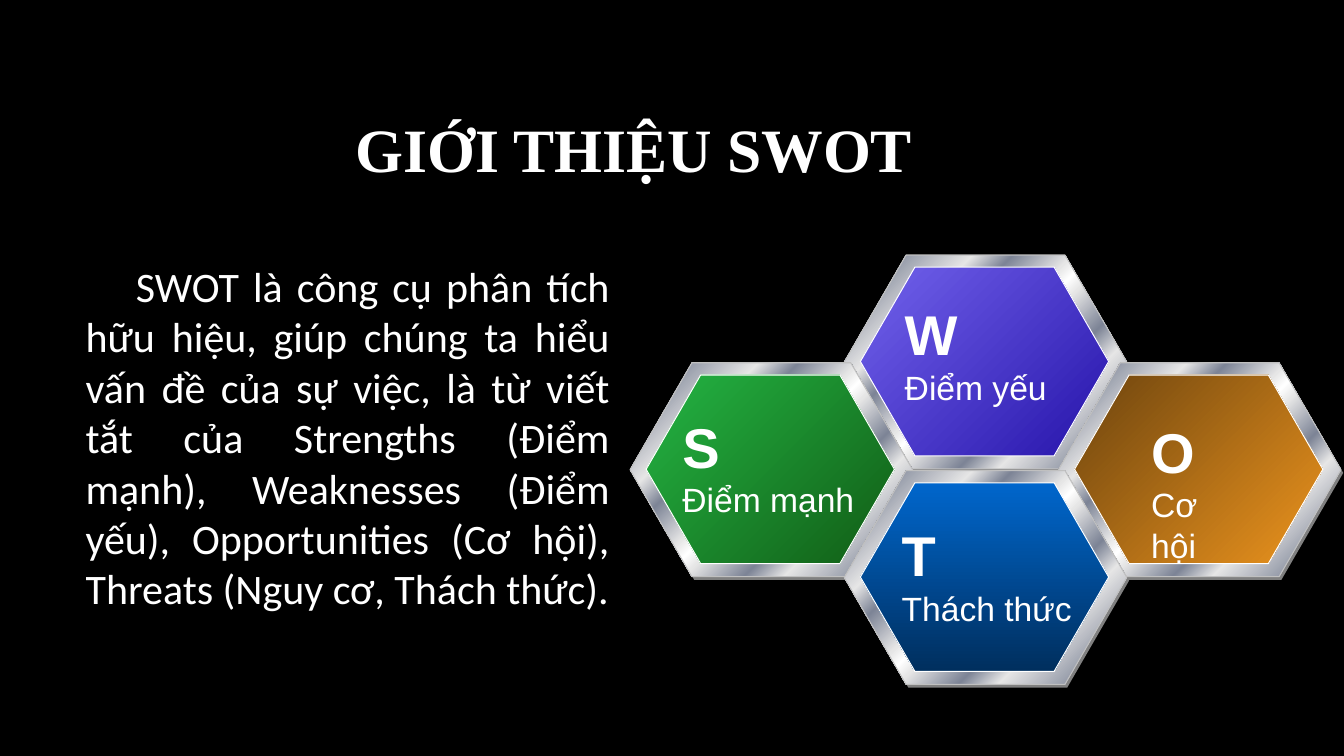
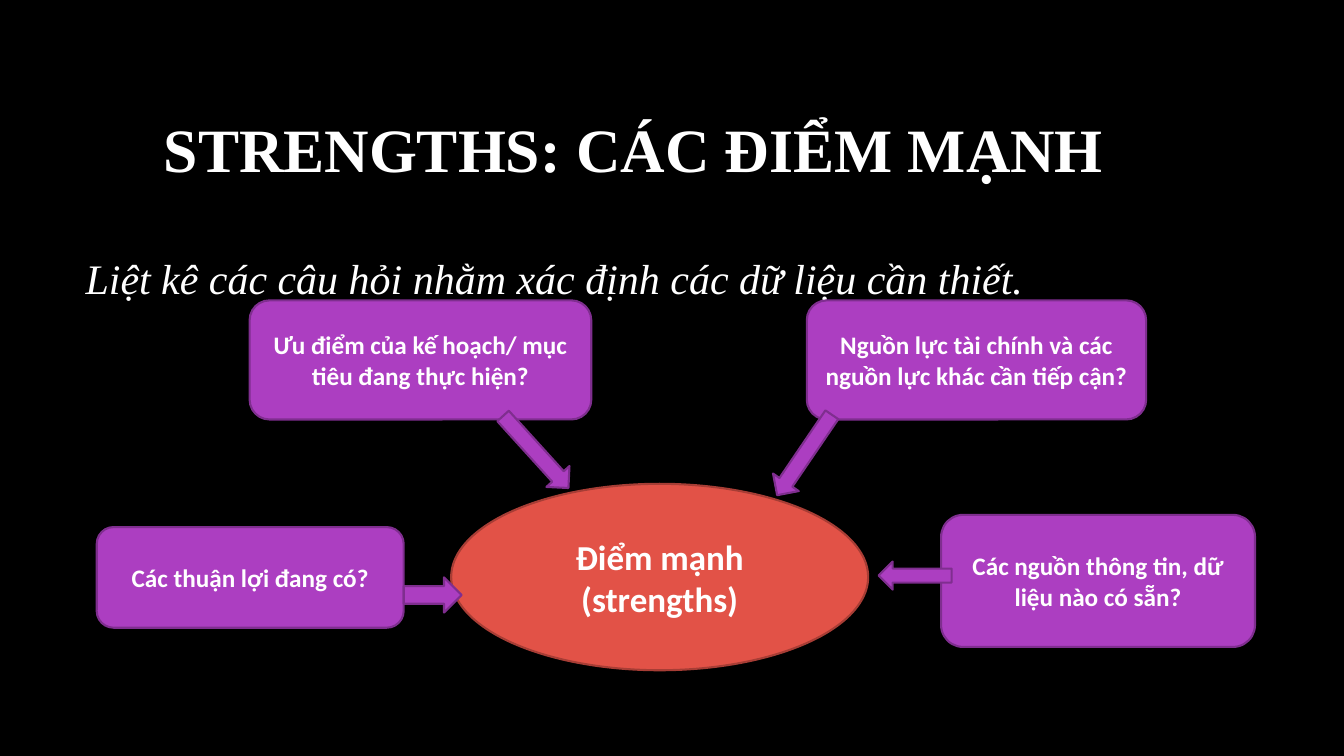
import typing

import lxml.etree
import pptx
import pptx.dml.color
import pptx.enum.shapes
import pptx.enum.text
import pptx.oxml.ns
import pptx.util

RGB = pptx.dml.color.RGBColor
KIND = pptx.enum.shapes.MSO_SHAPE
ALIGN = pptx.enum.text.PP_ALIGN
ANCHOR = pptx.enum.text.MSO_ANCHOR

BLACK = RGB(0x00, 0x00, 0x00)
WHITE = RGB(0xFF, 0xFF, 0xFF)
GREY = RGB(0x80, 0x80, 0x80)
SILVER = RGB(0xC0, 0xC0, 0xC0)
LIGHT = RGB(0xE6, 0xE6, 0xE6)
STEEL = RGB(0x7D, 0x84, 0x96)
RED = RGB(0xE2, 0x52, 0x47)
MAROON = RGB(0xA7, 0x3D, 0x35)
PURPLE = RGB(0xAC, 0x3E, 0xC1)
PLUM = RGB(0x7F, 0x2E, 0x8F)
VIOLET = RGB(0x72, 0x62, 0xEC)
INDIGO = RGB(0x26, 0x14, 0xAA)
GREEN = RGB(0x24, 0xB4, 0x43)
FOREST = RGB(0x11, 0x5D, 0x16)
BROWN = RGB(0x6D, 0x44, 0x0E)
ORANGE = RGB(0xEC, 0x94, 0x1E)
BLUE = RGB(0x00, 0x66, 0xCC)
NAVY = RGB(0x00, 0x2F, 0x5E)

METAL = [(0, LIGHT), (8, STEEL), (26, LIGHT), (34, STEEL), (46, LIGHT), (50, WHITE),
         (54, LIGHT), (66, STEEL), (74, LIGHT), (92, STEEL), (100, LIGHT)]

# Letter, label, column, row, face colours, angle, label box in percent of the tile
TILES = [
    ("W", "Điểm yếu", 1, 0, (VIOLET, INDIGO), 45, (17.9, 18.4, 73, 56)),
    ("S", "Điểm mạnh", 0, 1, (GREEN, FOREST), 45, (15, 20.8, 79, 56)),
    ("O", "Cơ hội", 2, 1, (BROWN, ORANGE), 45, (29.3, 23.1, 36, 56)),
    ("T", "Thách thức", 1, 2, (BLUE, NAVY), 90, (16.8, 21.2, 83, 56)),
]

# Boxes in percent of the diagram
ASKS = [
    ("Các thuận lợi đang có?", (0, 61.3, 26.5, 27.2)),
    ("Ưu điểm của kế hoạch/ mục tiêu đang thực hiện?", (13.2, 0, 29.5, 32.2)),
    ("Nguồn lực tài chính và các nguồn lực khác cần tiếp cận?", (61.3, 0, 29.3, 32.2)),
    ("Các nguồn thông tin, dữ liệu nào có sẵn?", (72.9, 58, 27.1, 35.7)),
]
ARROWS = [
    ((26.5, 74.9, 5, 9.5), 0),
    ((33.7, 36.8, 8.4, 8.4), 47.8),
    ((56.9, 37.6, 8.4, 8.4), 124.2),
    ((67.5, 70.6, 6.3, 7.6), 180),
]


class Box(typing.NamedTuple):
    left: int
    top: int
    width: int
    height: int

    def inner(self, x, y, w, h):
        """Give the inner box whose place and size are percents of this one."""
        return Box(round(self.left + self.width * x / 100),
                   round(self.top + self.height * y / 100),
                   round(self.width * w / 100), round(self.height * h / 100))


PAGE = Box(0, 0, pptx.util.Inches(13.33), pptx.util.Inches(7.5))


def style(para, size, font, bold=False, italic=False, align=ALIGN.LEFT):
    para.alignment = align
    for run in para.runs:
        run.font.size = pptx.util.Pt(size)
        run.font.name = font
        run.font.bold = bold
        run.font.italic = italic
        run.font.color.rgb = WHITE


def write(slide, box, text, anchor=ANCHOR.MIDDLE):
    """Add a wrapping text box and return its paragraphs."""
    frame = slide.shapes.add_textbox(*box).text_frame
    frame.word_wrap = True
    frame.vertical_anchor = anchor
    frame.text = text
    return frame.paragraphs


def draw(slide, kind, box, fill, line=None, width=1.5):
    shape = slide.shapes.add_shape(kind, *box)
    shape.shadow.inherit = False
    shape.fill.solid()
    shape.fill.fore_color.rgb = fill
    if line is None:
        shape.line.fill.background()
    else:
        shape.line.color.rgb = line
        shape.line.width = pptx.util.Pt(width)
    return shape


def blend(shape, stops, angle):
    """Fill with (percent, colour) stops, the angle running clockwise."""
    shape.fill.gradient()
    shape.fill.gradient_angle = 360 - angle
    name = pptx.oxml.ns.qn
    stoplist = shape.element.spPr.find(".//" + name("a:gsLst"))
    for old in list(stoplist):
        stoplist.remove(old)
    for pos, color in stops:
        stop = lxml.etree.SubElement(stoplist, name("a:gs"), pos=str(pos * 1000))
        lxml.etree.SubElement(stop, name("a:srgbClr"), val=str(color))


def hexagon(slide, box, fill, line=None):
    shape = draw(slide, KIND.HEXAGON, box, fill, line, 0.75)
    shape.adjustments[0] = 0.289
    return shape


def tile(slide, box, letter, label, colors, angle, place):
    hexagon(slide, box.inner(0.8, 1.5, 100, 100), GREY)
    blend(hexagon(slide, box, LIGHT, SILVER), METAL, 45)
    face = hexagon(slide, box.inner(5.7, 5.7, 87.9, 88.2), colors[0], WHITE)
    blend(face, zip((0, 100), colors), angle)
    head, name = write(slide, box.inner(*place), letter + "\n" + label, ANCHOR.TOP)
    style(head, 40, "Arial", bold=True)
    style(name, 24, "Arial")


def comb(slide, box):
    for letter, label, col, row, colors, angle, place in TILES:
        cell = box.inner(col * 30.1, row * 25.1, 39.7, 49.8)
        tile(slide, cell, letter, label, colors, angle, place)


def bubble(slide, kind, box, text, size, fill, line):
    frame = draw(slide, kind, box, fill, line).text_frame
    frame.word_wrap = True
    frame.vertical_anchor = ANCHOR.MIDDLE
    frame.text = text
    style(frame.paragraphs[0], size, "Calibri", bold=True, align=ALIGN.CENTER)


def web(slide, box):
    """Draw the questions that point at the central oval."""
    bubble(slide, KIND.OVAL, box.inner(30.6, 49.6, 36, 50.4),
           "Điểm mạnh (strengths)", 25, RED, MAROON)
    for text, place in ASKS:
        bubble(slide, KIND.ROUNDED_RECTANGLE, box.inner(*place), text, 18, PURPLE, PLUM)
    for place, turn in ARROWS:
        draw(slide, KIND.RIGHT_ARROW, box.inner(*place), PURPLE, PLUM).rotation = turn


def start(deck, title):
    """Add a black slide with its title."""
    slide = deck.slides.add_slide(deck.slide_layouts[6])
    slide.background.fill.solid()
    slide.background.fill.fore_color.rgb = BLACK
    para, = write(slide, PAGE.inner(5.63, 8.93, 83.1, 21.2), title)
    style(para, 44, "Times New Roman", bold=True, align=ALIGN.CENTER)
    return slide


def intro(deck):
    slide = start(deck, "GIỚI THIỆU SWOT")
    para, = write(slide, PAGE.inner(5.63, 31.2, 40.5, 53.2),
                  "SWOT là công cụ phân tích hữu hiệu, giúp chúng ta hiểu vấn đề của sự việc, "
                  "là từ viết tắt của Strengths (Điểm mạnh), Weaknesses (Điểm yếu), "
                  "Opportunities (Cơ hội), Threats (Nguy cơ, Thách thức).")
    style(para, 30, "Calibri", align=ALIGN.JUSTIFY)
    para._p.get_or_add_pPr().set("indent", str(pptx.util.Inches(0.5)))
    comb(slide, PAGE.inner(46.88, 33.73, 52.95, 56.8))


def strengths(deck):
    slide = start(deck, "STRENGTHS: CÁC ĐIỂM MẠNH")
    para, = write(slide, PAGE.inner(5.63, 31.2, 83.1, 11.2),
                  "Liệt kê các câu hỏi nhằm xác định các dữ liệu cần thiết.")
    style(para, 30, "Times New Roman", italic=True)
    web(slide, PAGE.inner(7.2, 39.73, 86.18, 48.93))


def main():
    deck = pptx.Presentation()
    deck.slide_width, deck.slide_height = PAGE.width, PAGE.height
    intro(deck)
    strengths(deck)
    deck.save("out.pptx")


if __name__ == "__main__":
    main()
